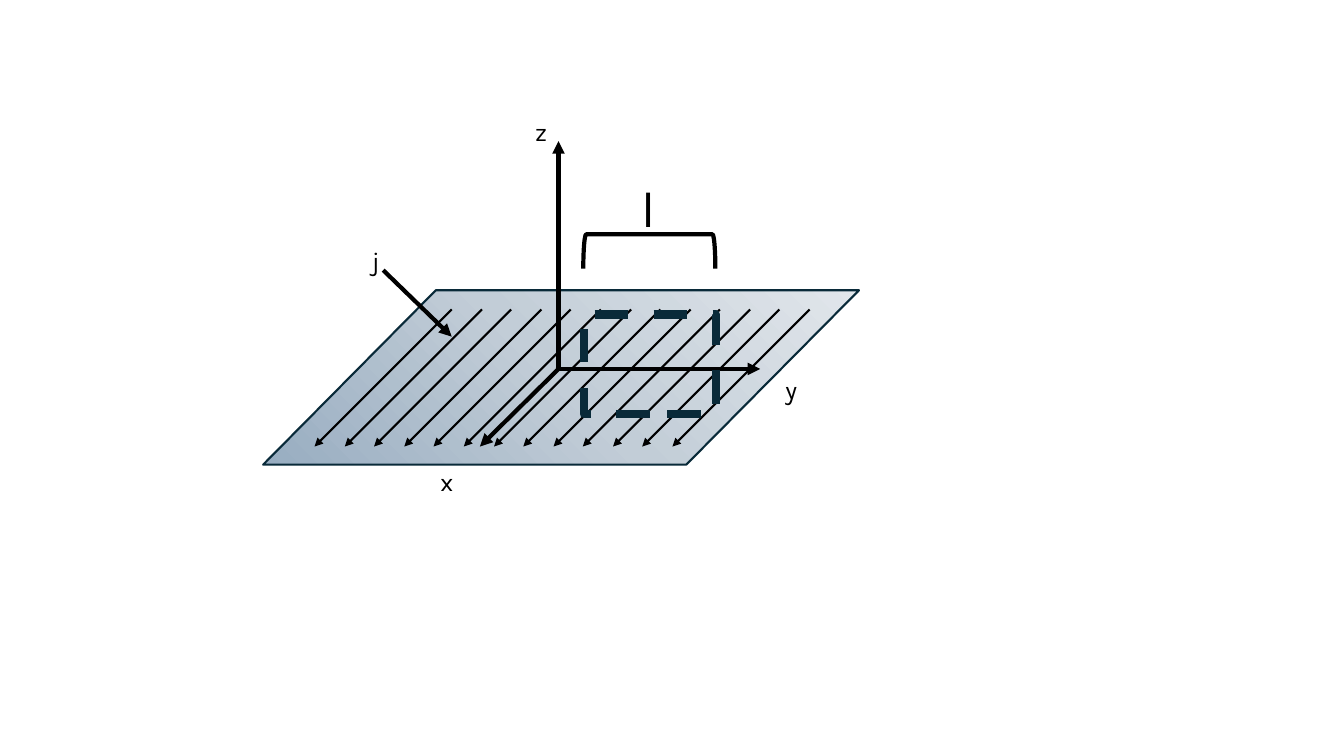
from copy import deepcopy
from dataclasses import dataclass
from lxml import etree
from pptx import Presentation
from pptx import util as u
from pptx.dml.color import RGBColor
from pptx.enum import dml, shapes, text
from pptx.oxml.ns import qn

PX = 9144


@dataclass(frozen=True)
class Theme:
    font: str = "Karla"
    ink: str = "000000"
    edge: str = "092A39"
    fade: tuple = ((0, "98ADC1"), (50, "C2CDD7"), (100, "E1E6EB"))
    small: int = 18
    large: int = 36
    thin: float = 1.5
    bold: int = 3
    heavy: int = 6


T = Theme()


def px(*nums):
    return [u.Emu(round(n * PX)) for n in nums]


def stroke(line, color, width):
    line.color.rgb = RGBColor.from_string(color)
    line.width = u.Pt(width)


def arrow(slide, start, end, width):
    link = slide.shapes.add_connector(
        shapes.MSO_CONNECTOR.STRAIGHT, *px(*start, *end))
    stroke(link.line, T.ink, width)
    etree.SubElement(link.line._get_or_add_ln(), qn("a:tailEnd"), type="triangle")
    etree.SubElement(link._element.spPr, qn("a:effectLst"))


def shape(slide, kind, box, color, width):
    item = slide.shapes.add_shape(kind, *px(*box))
    item.shadow.inherit = False
    item.fill.background()
    stroke(item.line, color, width)
    return item


def label(slide, word, box, size):
    frame = slide.shapes.add_textbox(*px(*box)).text_frame
    frame.word_wrap = True
    frame.auto_size = text.MSO_AUTO_SIZE.SHAPE_TO_FIT_TEXT
    para = frame.paragraphs[0]
    para.text = word
    para.font.name = T.font
    para.font.size = u.Pt(size)
    para.font.color.rgb = RGBColor.from_string(T.ink)


def sheet(slide):
    plane = shape(slide, shapes.MSO_SHAPE.PARALLELOGRAM,
                  (261, 288, 591, 173), T.edge, T.thin)
    plane.adjustments[0] = 0.99
    plane.fill.gradient()
    plane.fill.gradient_angle = 45
    stops = plane._element.spPr.find(qn("a:gradFill")).find(qn("a:gsLst"))
    stops.append(deepcopy(stops[0]))
    for stop, (place, color) in zip(plane.fill.gradient_stops, T.fade):
        stop.position = place / 100
        stop.color.rgb = RGBColor.from_string(color)


def axes(slide):
    arrow(slide, (551, 366), (754, 366), T.bold)
    arrow(slide, (554, 368), (554, 140), T.bold)
    arrow(slide, (554, 366), (476, 443), T.bold)
    for word, x, y in (("z", 521, 110), ("y", 769, 366), ("x", 427, 458)):
        label(slide, word, (x, y, 71, 40), T.small)


def current(slide):
    count, first, last = 13, 448, 803
    for i in range(count):
        x = round(first + i * (last - first) / (count - 1))
        arrow(slide, (x, 307), (x - 136, 443), T.thin)
    label(slide, "j", (359, 238, 71, 40), T.small)
    arrow(slide, (380, 268), (448, 334), T.bold)


def loop(slide):
    path = shape(slide, shapes.MSO_SHAPE.RECTANGLE,
                 (579, 312, 131, 99), T.edge, T.heavy)
    path.line.dash_style = dml.MSO_LINE.DASH
    brace = shape(slide, shapes.MSO_SHAPE.RIGHT_BRACKET,
                  (627, 184, 34, 131), T.ink, T.bold)
    brace.rotation = 270
    label(slide, "l", (626, 171, 70, 71), T.large)


def main():
    deck = Presentation()
    deck.slide_width, deck.slide_height = px(1333, 750)
    slide = deck.slides.add_slide(deck.slide_layouts[6])
    sheet(slide)
    axes(slide)
    current(slide)
    loop(slide)
    deck.save("out.pptx")


if __name__ == "__main__":
    main()
